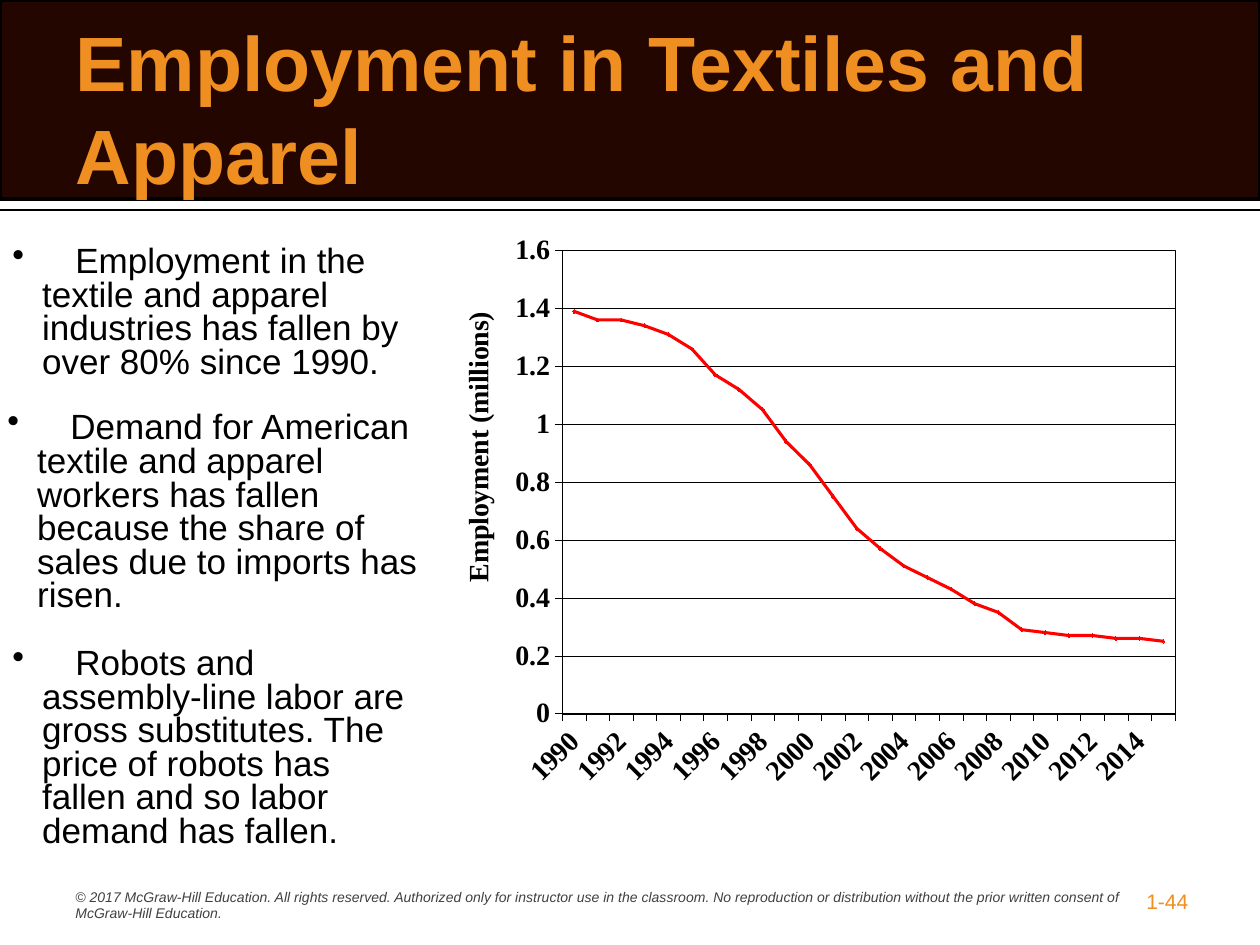
from lxml import etree
from pptx import Presentation
from pptx.chart.data import CategoryChartData
from pptx.dml.color import RGBColor
from pptx.enum.chart import XL_CHART_TYPE as Chart, XL_MARKER_STYLE as Marker
from pptx.enum.chart import XL_TICK_MARK as Tick
from pptx.enum.shapes import MSO_CONNECTOR as Conn, MSO_SHAPE as Shape
from pptx.enum.text import MSO_ANCHOR as Anchor, PP_ALIGN as Align
from pptx.oxml import parse_xml
from pptx.oxml.ns import nsdecls, qn
from pptx.util import Cm, Pt

rgb = RGBColor.from_string
BLACK, ORANGE, RED = "000000", "EF8E21", "FF0000"


def add_text(text, x, y, w, h, size, color):
    frame = slide.shapes.add_textbox(Cm(x), Cm(y), Cm(w), Cm(h)).text_frame
    frame.word_wrap = True
    frame.text = text
    para = frame.paragraphs[0]
    para.font.name, para.font.size = "Arial", Pt(size)
    para.font.color.rgb = rgb(color)
    return para


def set_layout(parent, index, **values):
    """Give a chart part a manual layout, as fractions of the chart."""
    for old in parent.findall(qn("c:layout")):
        parent.remove(old)
    items = "".join(f'<c:{k} val="{v}"/>' for k, v in values.items())
    parent.insert(index, parse_xml(
        f'<c:layout {nsdecls("c")}><c:manualLayout>{items}'
        "</c:manualLayout></c:layout>"))


prs = Presentation()
prs.slide_width, prs.slide_height = Cm(25.4), Cm(19.05)
slide = prs.slides.add_slide(prs.slide_layouts[5])

# Header band, rule and title
rule = slide.shapes.add_connector(Conn.STRAIGHT, 0, Cm(4.24), Cm(25.4), Cm(4.24))
rule.line.color.rgb, rule.line.width = rgb(BLACK), Pt(1)
etree.SubElement(rule._element.spPr, qn("a:effectLst"))

band = slide.shapes.add_shape(Shape.RECTANGLE, 0, 0, Cm(25.4), Cm(4.01))
band.shadow.inherit = False
band.fill.solid()
band.fill.fore_color.rgb = rgb("230600")
band.line.color.rgb, band.line.width = rgb(BLACK), Pt(2)

title = slide.shapes.title
band._element.addnext(title._element)
title.left, title.top = Cm(1.27), Cm(0.33)
title.width, title.height = Cm(22.86), Cm(3.66)
title.text_frame.text = "Employment in Textiles and Apparel"
title.text_frame.vertical_anchor = Anchor.MIDDLE
head = title.text_frame.paragraphs[0]
head.alignment = Align.LEFT
head.font.name, head.font.size, head.font.bold = "Arial", Pt(44), True
head.font.color.rgb = rgb(ORANGE)

# Bulleted points
points = [
    ("Employment in the textile and apparel industries has fallen by over 80% "
     "since 1990.", 0, 4.85, 8.99, 2.97),
    ("Demand for American textile and apparel workers has fallen because the "
     "share of sales due to imports has risen.", -0.1, 8.2, 8.92, 4.37),
    ("Robots and assembly-line labor are gross substitutes. The price of robots "
     "has fallen and so labor demand has fallen.", 0, 12.95, 8.71, 3.66),
]
for text, *box in points:
    para = add_text("\t" + text, *box, 20, BLACK)
    para.line_spacing = 0.8
    props = para._p.get_or_add_pPr()
    props.set("marL", str(Cm(0.6)))
    props.set("indent", str(Cm(-0.6)))
    bullet = parse_xml(f'<a:buChar {nsdecls("a")} char="•"/>')
    props.find(qn("a:lnSpc")).addnext(bullet)

# Employment chart
data = CategoryChartData()
data.categories = [str(year) for year in range(1990, 2016)]
data.add_series("Employment", [
    1.39, 1.36, 1.36, 1.34, 1.31, 1.26, 1.17, 1.12, 1.05, 0.94, 0.86, 0.75, 0.64,
    0.57, 0.51, 0.47, 0.43, 0.38, 0.35, 0.29, 0.28, 0.27, 0.27, 0.26, 0.26, 0.25])
chart = slide.shapes.add_chart(Chart.LINE_MARKERS, Cm(8.71), Cm(4.42),
                               Cm(15.44), Cm(12.62), data).chart
chart.has_legend = chart.has_title = False
chart.font.name, chart.font.size, chart.font.bold = "Times New Roman", Pt(16), True
chart.font.color.rgb = rgb(BLACK)

plot = chart.plots[0]
plot.vary_by_categories = False
line = plot.series[0]
line.smooth = False
line.format.line.color.rgb, line.format.line.width = rgb(RED), Pt(1.75)
line.marker.style, line.marker.size = Marker.DIAMOND, 2
line.marker.format.fill.solid()
line.marker.format.fill.fore_color.rgb = rgb(RED)
line.marker.format.line.color.rgb = rgb(RED)

years, jobs = chart.category_axis, chart.value_axis
jobs.minimum_scale, jobs.maximum_scale, jobs.major_unit = 0, 1.6, 0.2
jobs.has_major_gridlines = True
for axis in (years, jobs):
    axis.major_tick_mark, axis.minor_tick_mark = Tick.OUTSIDE, Tick.NONE
for part in (years, jobs, jobs.major_gridlines):
    part.format.line.color.rgb, part.format.line.width = rgb(BLACK), Pt(0.25)

years.tick_labels.font.size = Pt(16)
years._element.find(qn("c:txPr")).find(qn("a:bodyPr")).set("rot", "-2700000")
last = years._element.find(qn("c:noMultiLvlLbl"))
for tag, step in (("tickLblSkip", 2), ("tickMarkSkip", 1)):
    last.addprevious(parse_xml(f'<c:{tag} {nsdecls("c")} val="{step}"/>'))

label = jobs.axis_title
label.text_frame.text = "Employment (millions)"
font = label.text_frame.paragraphs[0].font
font.name, font.size, font.bold = "Times New Roman", Pt(16), True
font.color.rgb = rgb(BLACK)
set_layout(label._element, 1, xMode="edge", yMode="edge", x=0.03, y=0.14)

area = chart._chartSpace.chart.plotArea
set_layout(area, 0, layoutTarget="inner", xMode="edge", yMode="edge",
           x=0.17, y=0.05, w=0.8, h=0.74)
area.append(parse_xml(
    f'<c:spPr {nsdecls("c", "a")}><a:noFill/><a:ln w="{Pt(0.25)}"><a:solidFill>'
    f'<a:srgbClr val="{BLACK}"/></a:solidFill></a:ln></c:spPr>'))

# Footer
note = add_text(
    "© 2017 McGraw-Hill Education. All rights reserved. Authorized only for "
    "instructor use in the classroom. No reproduction or distribution without the "
    "prior written consent of McGraw-Hill Education.",
    1.27, 17.78, 21.79, 0.94, 8, "404040")
note.font.italic = True
add_text("1-44", 22.86, 17.78, 1.9, 0.76, 12, ORANGE)

prs.save("out.pptx")
